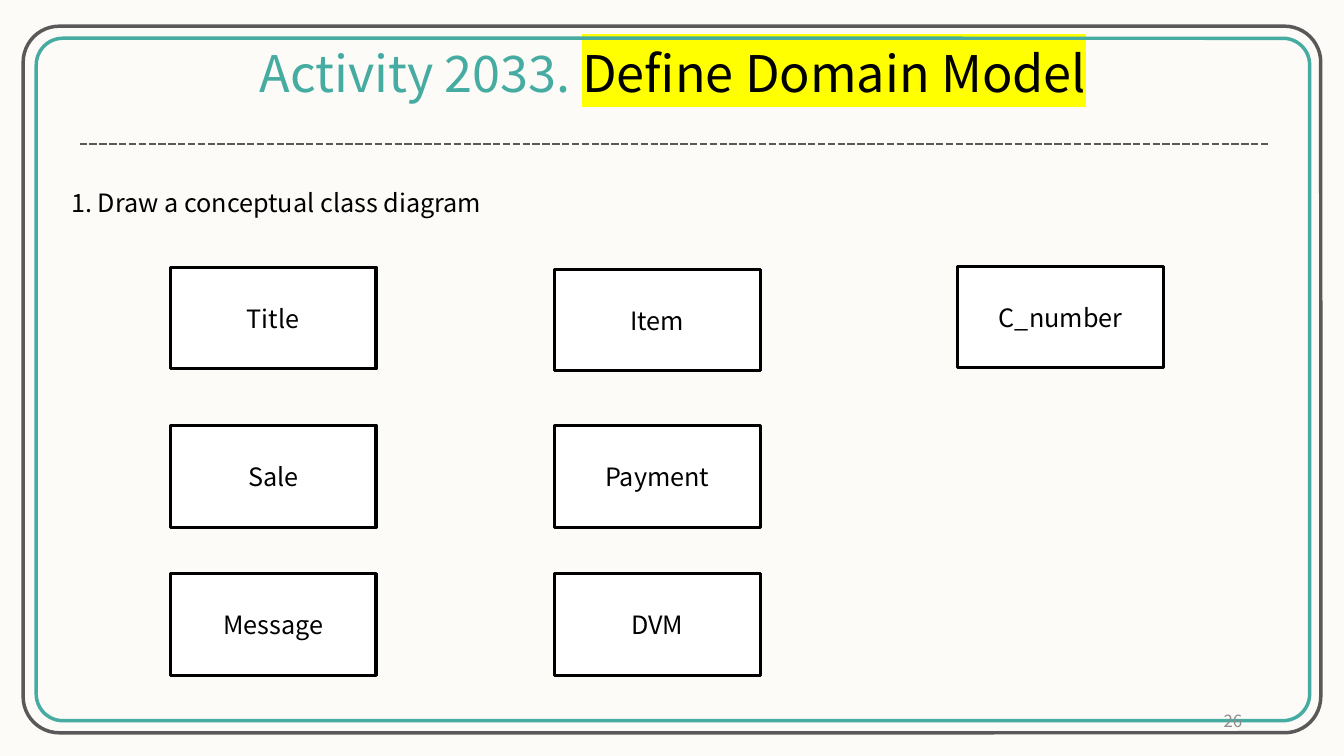
from lxml import etree
from pptx import Presentation
from pptx.dml.color import RGBColor
from pptx.enum.dml import MSO_LINE
from pptx.enum.shapes import MSO_CONNECTOR, MSO_SHAPE
from pptx.enum.text import MSO_ANCHOR, PP_ALIGN
from pptx.oxml.ns import qn
from pptx.util import Inches, Pt

LEFT, CENTER, RIGHT = PP_ALIGN.LEFT, PP_ALIGN.CENTER, PP_ALIGN.RIGHT
MIDDLE = MSO_ANCHOR.MIDDLE
RECT, ROUND_RECT = MSO_SHAPE.RECTANGLE, MSO_SHAPE.ROUNDED_RECTANGLE
STRAIGHT, DASH = MSO_CONNECTOR.STRAIGHT, MSO_LINE.SQUARE_DOT
FONT = "Noto Sans CJK KR"
TEAL, GRAY, BLACK, WHITE = "46ACA1", "595959", "000000", "FFFFFF"
YELLOW, PALE_GRAY, CREAM = "FFFF00", "8C8C8C", "FCFBF7"


def rgb(value):
    return RGBColor.from_string(value)


def add_run(p, text, size=18, color=BLACK, highlight=None):
    r = p.add_run()
    r.text = text
    r.font.size = Pt(size)
    r.font.name = FONT
    r.font.color.rgb = rgb(color)
    rPr = r.font._element
    ea = etree.Element(qn("a:ea"), typeface=FONT)
    rPr.find(qn("a:latin")).addnext(ea)
    if highlight:
        mark = etree.Element(qn("a:highlight"))
        etree.SubElement(mark, qn("a:srgbClr"), val=highlight)
        rPr.find(qn("a:solidFill")).addnext(mark)


def write(sp, text, align=LEFT, wrap=True, **fmt):
    tf = sp.text_frame
    tf.word_wrap = wrap
    tf.vertical_anchor = MIDDLE
    p = tf.paragraphs[0]
    p.alignment = align
    add_run(p, text, **fmt)
    return tf


def add_text(s, box, text, **fmt):
    return write(s.shapes.add_textbox(*map(Inches, box)), text, **fmt)


def add_outline(s, kind, box, color, width, fill=None):
    sp = s.shapes.add_shape(kind, *map(Inches, box))
    sp.shadow.inherit = False
    sp.line.color.rgb = rgb(color)
    sp.line.width = Pt(width)
    if fill:
        sp.fill.solid()
        sp.fill.fore_color.rgb = rgb(fill)
    else:
        sp.fill.background()
    return sp


def add_frame(s, box):
    x, y, w, h = box
    inner = (x + 0.13, y + 0.12, w - 0.24, h - 0.24)
    for edge, color, radius in ((inner, TEAL, 0.039), (box, GRAY, 0.051)):
        sp = add_outline(s, ROUND_RECT, edge, color, 2.5)
        sp.adjustments[0] = radius


def add_header(s, box):
    x, y, w, h = box
    tf = add_text(s, (x + 1.62, y, 8.53, 0.71), "Activity 2033.\u00a0",
                  align=CENTER, wrap=False, size=36, color=TEAL)
    tf.margin_top = 0
    add_run(tf.paragraphs[0], "Define Domain Model", size=36, highlight=YELLOW)
    rule = s.shapes.add_connector(
        STRAIGHT, *map(Inches, (x, y + h, x + w, y + h)))
    rule.line.color.rgb = rgb(GRAY)
    rule.line.width = Pt(1.75)
    rule.line.dash_style = DASH
    etree.SubElement(rule._element.spPr, qn("a:effectLst"))


def add_classes(s, box):
    x, y, w, h = box
    columns = (
        (0, (0.01, 1.58, 3.05), ("Title", "Sale", "Message")),
        (3.81, (0.03, 1.58, 3.05), ("Item", "Payment", "DVM")),
        (7.81, (0,), ("C_number",)),
    )
    for dx, offsets, names in columns:
        for dy, name in zip(offsets, names):
            sp = add_outline(s, RECT, (x + dx, y + dy, w, h),
                             BLACK, 2.25, WHITE)
            write(sp, name, align=CENTER)


def build_slide(prs):
    s = prs.slides.add_slide(prs.slide_layouts[6])
    s.background.fill.solid()
    s.background.fill.fore_color.rgb = rgb(CREAM)
    add_header(s, (0.79, 0.39, 11.81, 1.04))
    add_frame(s, (0.23, 0.26, 12.87, 7.01))
    add_text(s, (0.61, 1.81, 5.03, 0.4), "1. Draw a conceptual class diagram")
    add_classes(s, (1.69, 2.64, 2.04, 1.01))
    add_text(s, (9.42, 6.95, 3, 0.4), "26",
             align=RIGHT, size=12, color=PALE_GRAY)


prs = Presentation()
prs.slide_width, prs.slide_height = Inches(13.33), Inches(7.5)
build_slide(prs)
prs.save("out.pptx")
